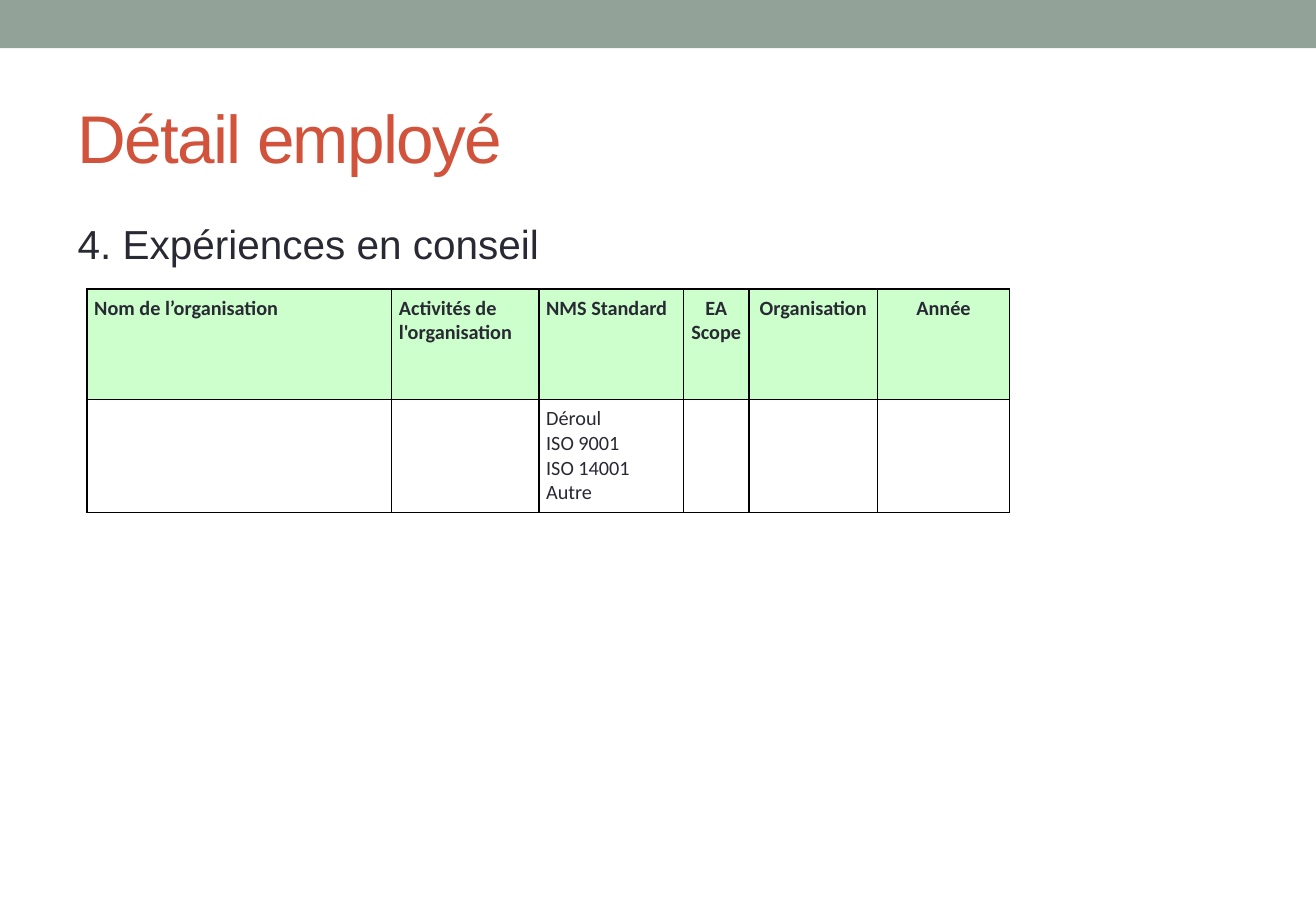
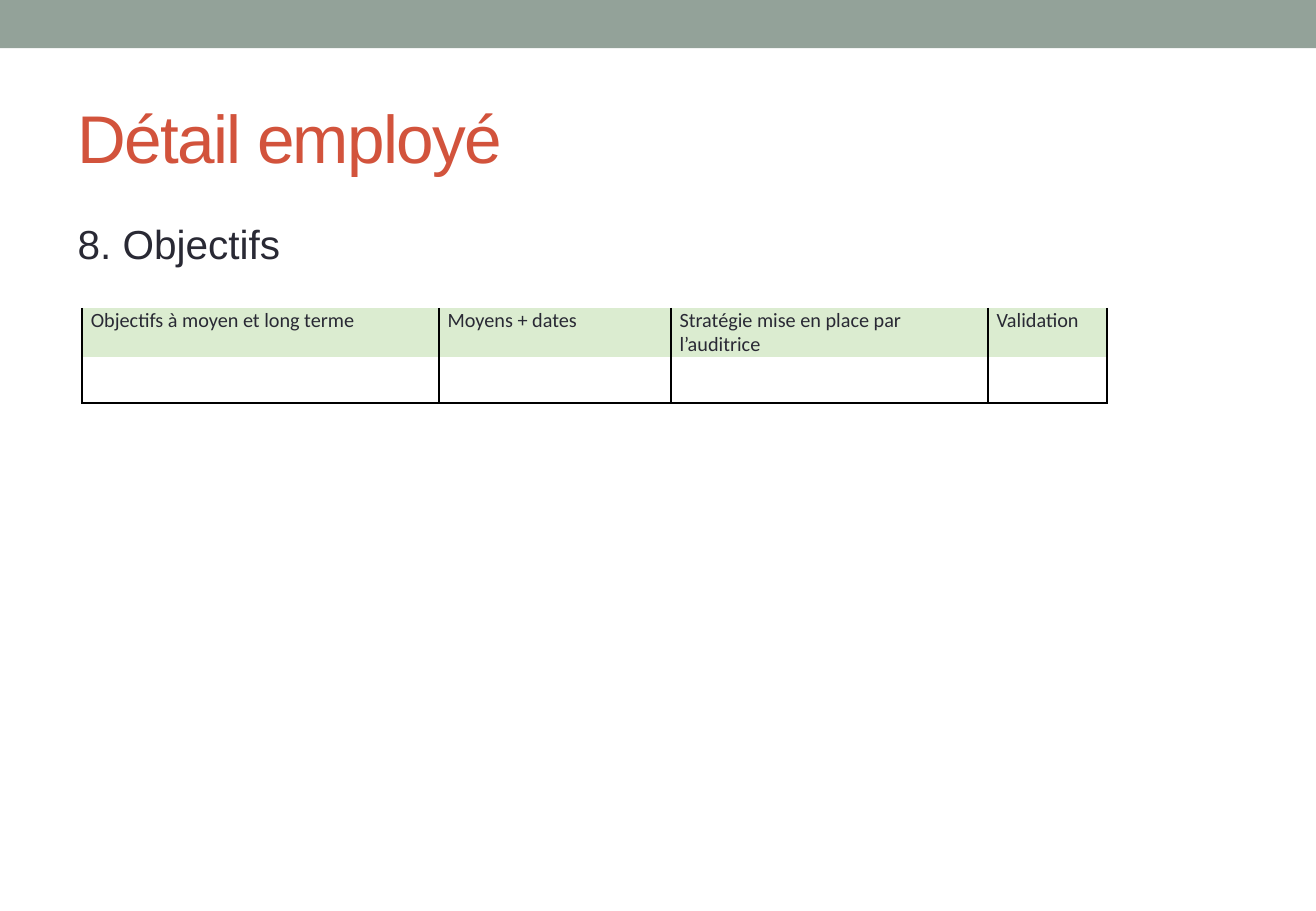
from lxml.etree import SubElement
from pptx import Presentation
from pptx.dml.color import RGBColor
from pptx.enum.shapes import MSO_SHAPE
from pptx.enum.text import MSO_ANCHOR, PP_ALIGN
from pptx.oxml import parse_xml
from pptx.oxml.ns import nsdecls, qn
from pptx.util import Cm, Pt

BAND = RGBColor(0x93, 0xA2, 0x99)
ACCENT = RGBColor(0xD2, 0x53, 0x3C)
INK = RGBColor(0x29, 0x29, 0x34)
WHITE = RGBColor(0xFF, 0xFF, 0xFF)
MINT = RGBColor(0xCC, 0xFF, 0xCC)
SAGE = RGBColor(0xDB, 0xEC, 0xD0)

TITLE_BOX = (1.37, 1.48, 24.77, 2.74)
BODY_BOX = (1.37, 4.45, 24.77, 13.54)
NO_STYLE = "{2D5ABB26-0587-4C30-8999-92F81FD0307C}"


def add_band(prs, s):
    """Draw the top band and move it to the master, behind all text."""
    band = s.shapes.add_shape(MSO_SHAPE.RECTANGLE, 0, 0, prs.slide_width, Cm(1.01))
    band.shadow.inherit = False
    band.fill.solid()
    band.fill.fore_color.rgb = BAND
    band.line.fill.background()
    prs.slide_master.shapes.element.insert(2, band.element)


def fill_placeholder(ph, box, text, size, color):
    """Place a placeholder in its box and return its formatted paragraph."""
    ph.left, ph.top, ph.width, ph.height = map(Cm, box)
    ph.text_frame.text = text
    p = ph.text_frame.paragraphs[0]
    p.alignment = PP_ALIGN.LEFT
    p.font.name, p.font.size, p.font.color.rgb = "Arial", Pt(size), color
    return p


def add_detail_slide(prs, heading):
    """Add a slide with the common title and a numbered heading."""
    s = prs.slides.add_slide(prs.slide_layouts[1])
    title, body = s.placeholders
    p = fill_placeholder(title, TITLE_BOX, "Détail employé", 40, ACCENT)
    title.text_frame.vertical_anchor = MSO_ANCHOR.MIDDLE
    p.runs[0].font._element.set("spc", "-100")

    p = fill_placeholder(body, BODY_BOX, heading, 24, INK)
    pPr = p._p.get_or_add_pPr()
    pPr.set("marL", "0")
    pPr.set("indent", "0")
    pPr.insert_element_before(parse_xml(f"<a:buNone {nsdecls('a')}/>"), "a:defRPr")
    return s


def set_borders(cell, sides, width):
    """Draw black borders on the given sides, in the order L, R, T, B."""
    tcPr = cell._tc.get_or_add_tcPr()
    for side in sides:
        ln = SubElement(tcPr, qn(f"a:ln{side}"), w=str(Pt(width)))
        SubElement(SubElement(ln, qn("a:solidFill")), qn("a:srgbClr"), val="000000")


def add_grid(s, left, top, widths, heights, rows, header_fill,
             sides, border, margins, bold=False, centered=()):
    """Add a bordered table; sides lists the borders of each row."""
    frame = s.shapes.add_table(len(rows), len(widths), Cm(left), Cm(top),
                               Cm(sum(widths)), Cm(sum(heights)))
    table = frame.table
    table.first_row = table.horz_banding = False
    table._tbl.tblPr.find(qn("a:tableStyleId")).text = NO_STYLE
    for column, width in zip(table.columns, widths):
        column.width = Cm(width)
    for i, (row, texts) in enumerate(zip(table.rows, rows)):
        row.height = Cm(heights[i])
        for j, (cell, text) in enumerate(zip(row.cells, texts)):
            set_borders(cell, sides[i], border)
            cell.fill.solid()
            cell.fill.fore_color.rgb = WHITE if i else header_fill
            cell.margin_left = cell.margin_right = Cm(margins[0])
            cell.margin_top = cell.margin_bottom = Cm(margins[1])
            cell.text = text
            for p in cell.text_frame.paragraphs:
                p.font.name, p.font.size = "Calibri", Pt(12)
                p.font.color.rgb = INK
                p.font.bold = bold and i == 0
                if j in centered:
                    p.alignment = PP_ALIGN.CENTER


prs = Presentation()
prs.slide_width, prs.slide_height = Pt(780), Cm(19.05)

s = add_detail_slide(prs, "4. Expériences en conseil")
add_band(prs, s)
add_grid(s, 1.82, 6.04, (6.37, 3.08, 3.02, 1.37, 2.69, 2.76), (2.31, 2.34),
         [("Nom de l’organisation ", "Activités de l'organisation", "NMS Standard",
           "EA Scope ", "Organisation", "Année"),
          ("", "", "Déroul\nISO 9001 \nISO 14001\nAutre", "", "", "")],
         MINT, ("LRTB", "LRTB"), 1, (0.15, 0.15), bold=True, centered=(3, 4, 5))

s = add_detail_slide(prs, "8. Objectifs")
add_grid(s, 1.72, 6.44, (7.46, 4.85, 6.63, 2.48), (0.97, 0.95),
         [("Objectifs à moyen et long terme", "Moyens + dates",
           "Stratégie mise en place par l’auditrice", "Validation"),
          ("", "", "", "")],
         SAGE, ("LR", "LRB"), 1.5, (0.18, 0))

prs.save("out.pptx")
